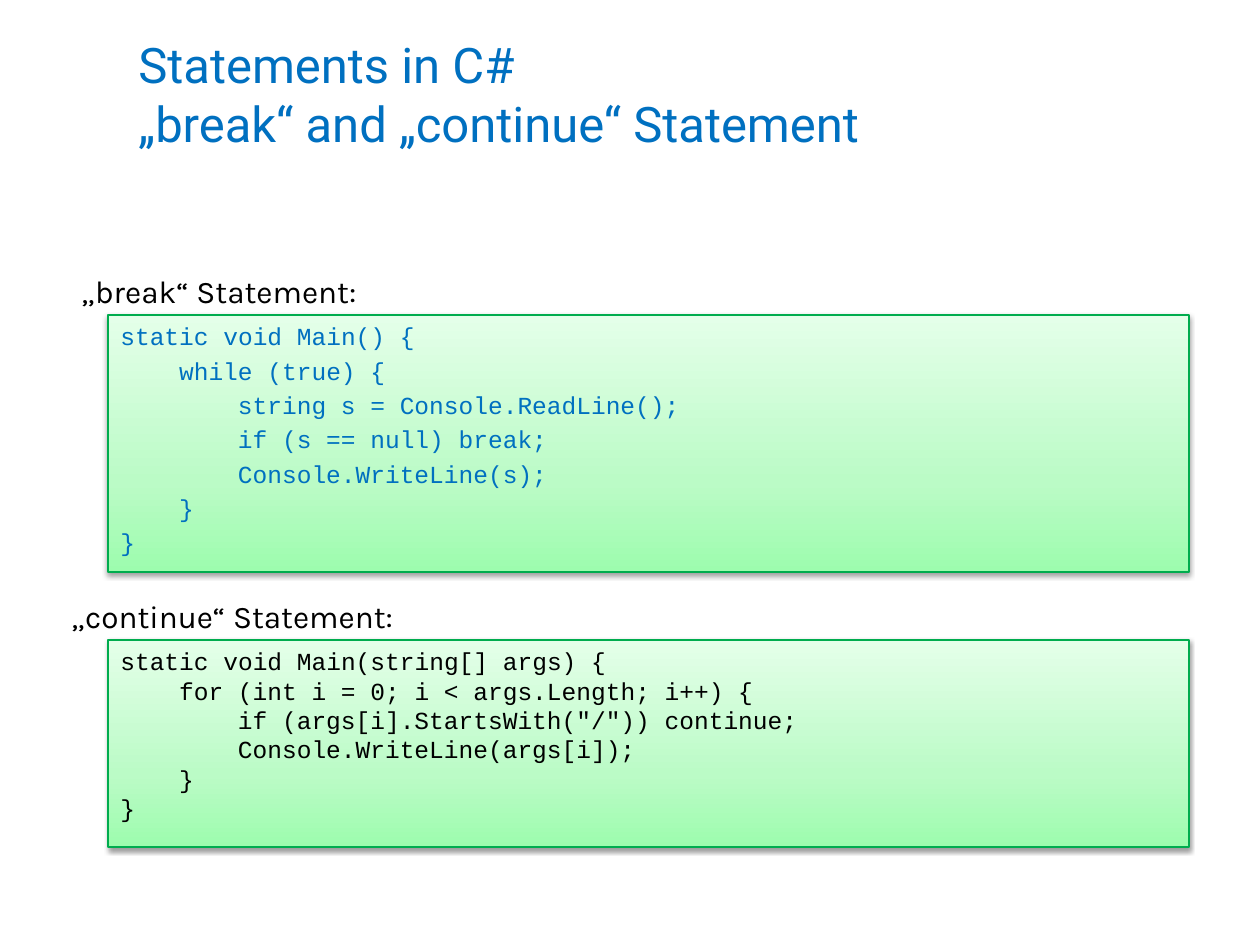
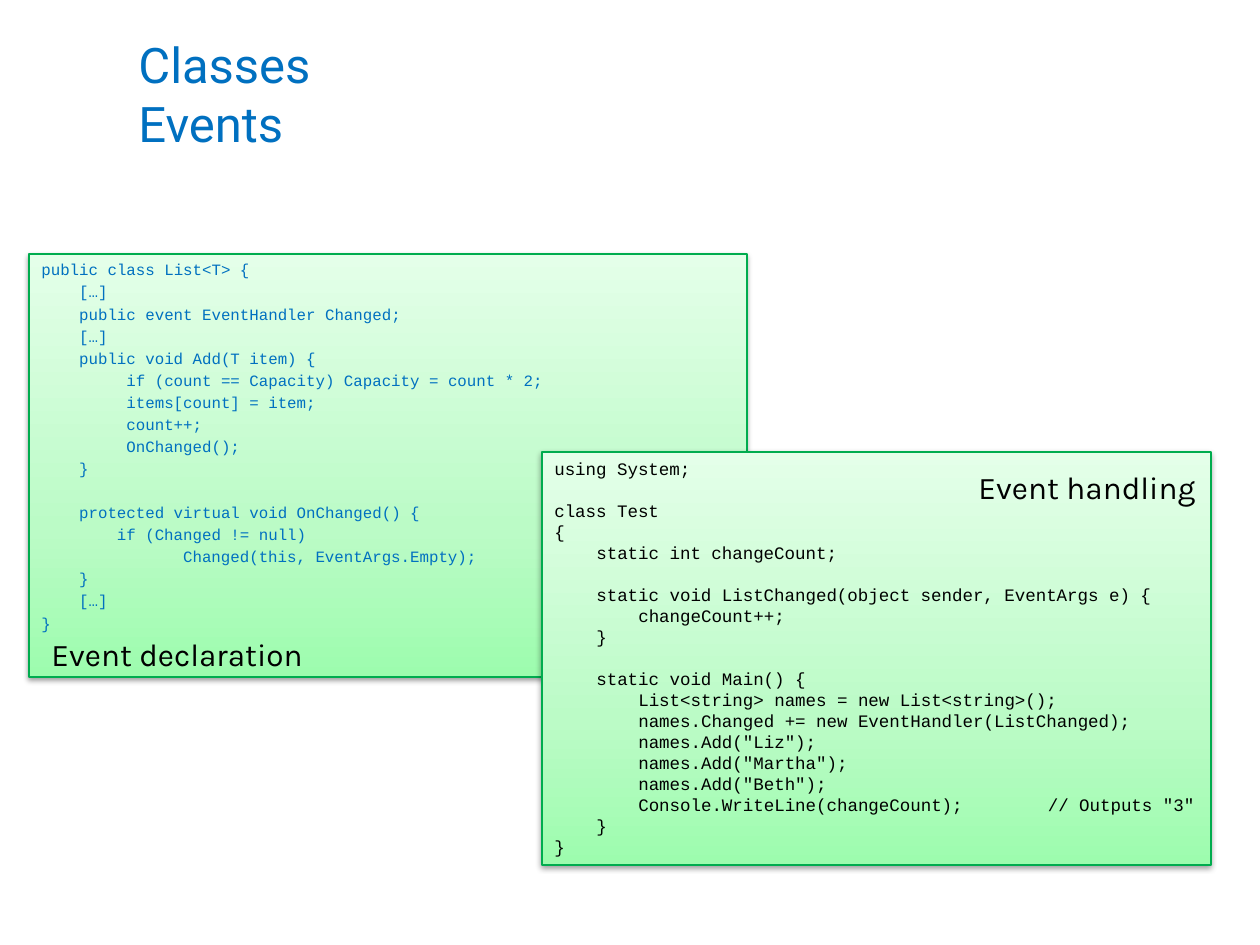
import copy

import pptx
import pptx.dml.color
import pptx.enum.shapes
import pptx.enum.text
import pptx.oxml
import pptx.oxml.ns
import pptx.util

# Scale and shared style
EMU_PER_PX = 914400 / 126
PAGE_SIZE = (1260, 945)
TITLE_AREA = (126, 21, 1102, 144)

BLUE = pptx.dml.color.RGBColor(0x00, 0x70, 0xC0)
BLACK = pptx.dml.color.RGBColor(0x00, 0x00, 0x00)
GREEN_LINE = pptx.dml.color.RGBColor(0x00, 0xAC, 0x4E)
GREEN_STOPS = [
    (0, pptx.dml.color.RGBColor(0x9D, 0xFC, 0xAE)),
    (0.35, pptx.dml.color.RGBColor(0xBB, 0xFB, 0xC6)),
    (1, pptx.dml.color.RGBColor(0xE4, 0xFF, 0xE9)),
]

TITLE_FONT, LABEL_FONT, CODE_FONT = "Roboto", "Karla", "Courier New"
CHAR_WIDTH = 0.6    # of the code size
LINE_HEIGHT = 1.2   # of the code size
LOOSE = 0.2         # extra space between lines, of the code size
COMMENT_COLUMN = 47

SHADOW = (
    f'<a:outerShdw {pptx.oxml.ns.nsdecls("a")} blurRad="39370" dist="20320" '
    'dir="5400000" rotWithShape="0"><a:srgbClr val="000000">'
    '<a:alpha val="38000"/></a:srgbClr></a:outerShdw>'
)

# Code listings
BREAK_CODE = """\
static void Main() {
    while (true) {
        string s = Console.ReadLine();
        if (s == null) break;
        Console.WriteLine(s);
    }
}"""

CONTINUE_CODE = """\
static void Main(string[] args) {
    for (int i = 0; i < args.Length; i++) {
        if (args[i].StartsWith("/")) continue;
        Console.WriteLine(args[i]);
    }
}"""

DECLARATION_CODE = """\
public class List<T> {
    […]
    public event EventHandler Changed;
    […]
    public void Add(T item) {
         if (count == Capacity) Capacity = count * 2;
         items[count] = item;
         count++;
         OnChanged();
    }

    protected virtual void OnChanged() {
        if (Changed != null)
               Changed(this, EventArgs.Empty);
    }
    […]
}"""

HANDLING_CODE = """\
using System;

class Test
{
    static int changeCount;

    static void ListChanged(object sender, EventArgs e) {
        changeCount++;
    }

    static void Main() {
        List<string> names = new List<string>();
        names.Changed += new EventHandler(ListChanged);
        names.Add("Liz");
        names.Add("Martha");
        names.Add("Beth");
        Console.WriteLine(changeCount);\t// Outputs "3"
    }
}"""


def emu(*lengths):
    return [round(length * EMU_PER_PX) for length in lengths]


def add_span(para, text, font, size, color):
    span = para.add_run()
    span.text = text
    span.font.name = font
    span.font.size = pptx.util.Pt(size)
    span.font.color.rgb = color


def add_title(page, lines):
    box = page.shapes.add_textbox(*emu(*TITLE_AREA))
    box.text_frame.word_wrap = True
    box.text_frame.vertical_anchor = pptx.enum.text.MSO_ANCHOR.MIDDLE
    para = box.text_frame.paragraphs[0]
    for number, line in enumerate(lines):
        if number:
            para.add_line_break()
        add_span(para, line, TITLE_FONT, 28, BLUE)


def add_label(page, area, text, align=pptx.enum.text.PP_ALIGN.LEFT):
    box = page.shapes.add_textbox(*emu(*area))
    box.text_frame.word_wrap = False
    box.text_frame.auto_size = pptx.enum.text.MSO_AUTO_SIZE.SHAPE_TO_FIT_TEXT
    para = box.text_frame.paragraphs[0]
    para.alignment = align
    add_span(para, text, LABEL_FONT, 18, BLACK)


def style_panel(panel):
    properties = panel._element.spPr
    panel.fill.gradient()
    stop_list = properties.find(".//" + pptx.oxml.ns.qn("a:gsLst"))
    stop_list.append(copy.deepcopy(stop_list[0]))
    for stop, (position, color) in zip(panel.fill.gradient_stops, GREEN_STOPS):
        stop.position = position
        stop.color.rgb = color
    panel.fill.gradient_angle = 90
    panel.line.color.rgb = GREEN_LINE
    panel.line.width = pptx.util.Pt(0.75)
    panel.shadow.inherit = False
    effects = properties.find(pptx.oxml.ns.qn("a:effectLst"))
    effects.append(pptx.oxml.parse_xml(SHADOW))


def add_tab_stops(para, positions):
    tabs = "".join(f'<a:tab pos="{position}" algn="l"/>' for position in positions)
    para._p.get_or_add_pPr().append(pptx.oxml.parse_xml(
        f'<a:tabLst {pptx.oxml.ns.nsdecls("a")}>{tabs}</a:tabLst>'))


def add_code(page, area, code, size, color, spacing=0):
    panel = page.shapes.add_shape(
        pptx.enum.shapes.MSO_SHAPE.RECTANGLE, *emu(*area))
    style_panel(panel)
    frame = panel.text_frame
    frame.word_wrap = True
    frame.vertical_anchor = pptx.enum.text.MSO_ANCHOR.TOP
    column_width = pptx.util.Pt(size * CHAR_WIDTH)
    space = 0
    for number, line in enumerate(code.split("\n")):
        text = line.lstrip()
        if not text:  # an empty line becomes space above the next one
            space += size * (LINE_HEIGHT + spacing)
            continue
        para = frame.add_paragraph() if number else frame.paragraphs[0]
        para.alignment = pptx.enum.text.PP_ALIGN.LEFT
        para.line_spacing = pptx.util.Pt(size * LINE_HEIGHT)
        para.space_before = pptx.util.Pt(space)
        indent = (len(line) - len(text)) * column_width
        if "\t" in text:
            add_tab_stops(para, (indent, COMMENT_COLUMN * column_width))
            text = "\t" + text
        else:
            para._p.get_or_add_pPr().set("marL", str(indent))
        add_span(para, text, CODE_FONT, size, color)
        space = size * spacing


def main():
    deck = pptx.Presentation()
    deck.slide_width, deck.slide_height = emu(*PAGE_SIZE)
    blank = deck.slide_layouts[6]

    # Jump statements
    page = deck.slides.add_slide(blank)
    add_title(page, ["Statements in C#", "„break“ and „continue“ Statement"])
    add_code(page, (108, 315, 1081, 257), BREAK_CODE, 14, BLUE, LOOSE)
    add_code(page, (108, 640, 1081, 207), CONTINUE_CODE, 14, BLACK)
    add_label(page, (69, 266, 338, 50), "„break“ Statement:")
    add_label(page, (59, 591, 384, 50), "„continue“ Statement:")

    # Events
    page = deck.slides.add_slide(blank)
    add_title(page, ["Classes", "Events"])
    add_code(page, (29, 254, 718, 423), DECLARATION_CODE, 9, BLUE, LOOSE)
    add_code(page, (542, 452, 669, 413), HANDLING_CODE, 10, BLACK)
    add_label(page, (39, 629, 302, 50), "Event declaration")
    add_label(page, (945, 462, 263, 50), "Event handling",
              pptx.enum.text.PP_ALIGN.RIGHT)

    deck.save("out.pptx")


if __name__ == "__main__":
    main()
